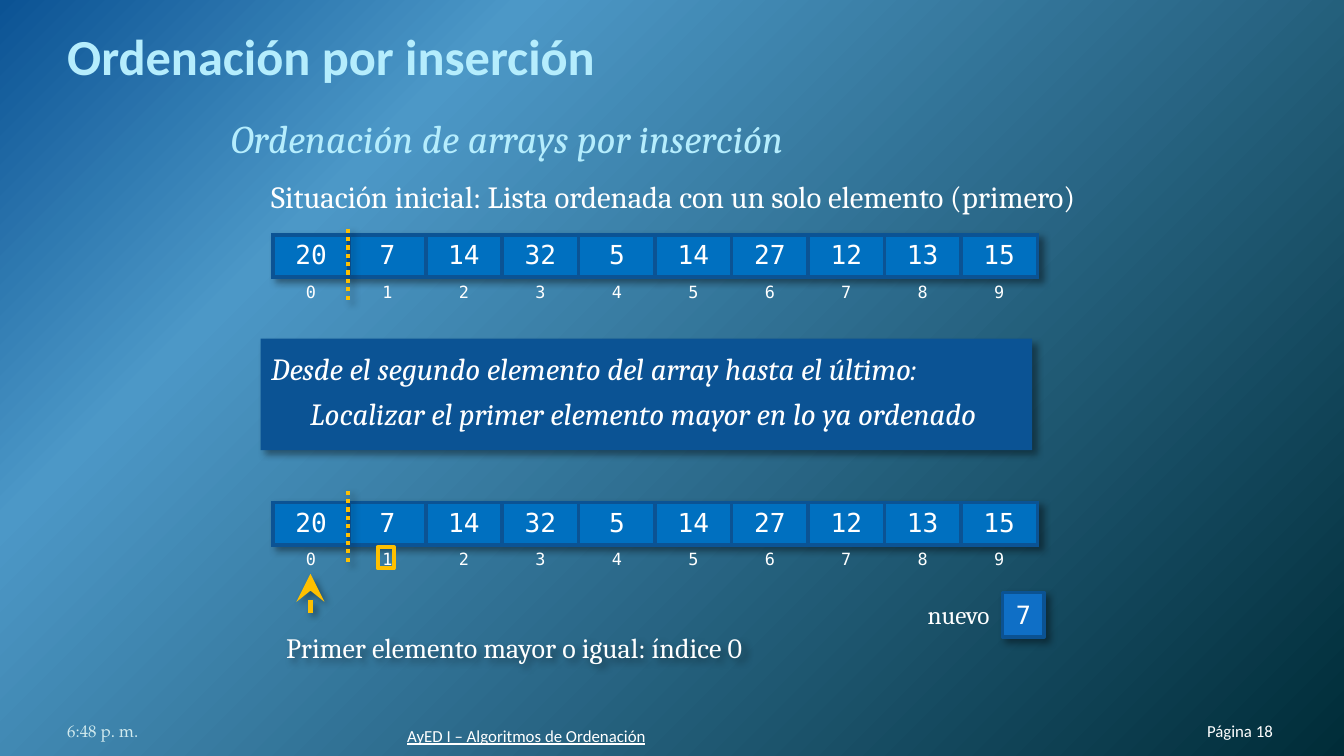
"""Build the slide on insertion sort of arrays."""
from dataclasses import dataclass

from pptx import Presentation
from pptx.dml.color import RGBColor
from pptx.enum.dml import MSO_LINE
from pptx.enum.shapes import MSO_CONNECTOR as Connector, MSO_SHAPE as Shape
from pptx.enum.text import MSO_ANCHOR as Anchor, PP_ALIGN as Align
from pptx.oxml import parse_xml
from pptx.oxml.ns import nsdecls
from pptx.util import Inches, Pt

NAVY, CELL, GOLD, ICE, WHITE = "0B5394", "0070C0", "FFC000", "B5EDFD", "FFFFFF"
SERIF, SANS, MONO, FOOTER_SERIF = "Cambria", "Calibri", "DejaVu Sans Mono", "TeX Gyre Pagella"
NO_TABLE_STYLE = "{2D5ABB26-0587-4C30-8999-92F81FD0307C}"
VALUES = (20, 7, 14, 32, 5, 14, 27, 12, 13, 15)
ARRAY_LEFT, ARRAY_WIDTH, ROWS = 2.03, 5.69, (0.3, 0.24)
SORTED_EDGE = 2.59


@dataclass
class Line:
    text: str
    size: float
    color: str = WHITE
    font: str = SERIF
    bold: bool = False
    italic: bool = False
    underline: bool = False
    align: Align = Align.LEFT
    indent: float = 0
    before: float = 0
    after: float = 0


@dataclass
class Label:
    box: tuple
    lines: list
    anchor: Anchor = Anchor.TOP
    insets: tuple = (0.1, 0.05, 0.1, 0.05)


def rgb(color: str) -> RGBColor:
    return RGBColor.from_string(color)


def drawing(xml: str):
    tag = xml[1:].split(">")[0].split()[0]
    return parse_xml(xml.replace(f"<{tag}", f"<{tag} {nsdecls('a', 'p')}", 1))


def shadow() -> object:
    return drawing(
        f'<a:effectLst><a:outerShdw blurRad="{Pt(4)}" dist="{Pt(3)}" dir="2700000" algn="tl" '
        'rotWithShape="0"><a:srgbClr val="000000"><a:alpha val="40000"/></a:srgbClr>'
        "</a:outerShdw></a:effectLst>")


def write(frame, lines: list, anchor: Anchor, insets: tuple) -> None:
    frame.word_wrap = True
    frame.vertical_anchor = anchor
    frame.margin_left, frame.margin_top, frame.margin_right, frame.margin_bottom = map(Inches, insets)
    for number, line in enumerate(lines):
        paragraph = frame.add_paragraph() if number else frame.paragraphs[0]
        add_line_text(paragraph, line)


def add_line_text(paragraph, line: Line) -> None:
    paragraph.alignment = line.align
    paragraph.space_before, paragraph.space_after = Pt(line.before), Pt(line.after)
    if line.indent:
        paragraph.level = 1
        paragraph._p.get_or_add_pPr().set("marL", str(Inches(line.indent)))
    run = paragraph.add_run()
    run.text = line.text
    font = run.font
    font.name, font.size = line.font, Pt(line.size)
    font.bold, font.italic, font.underline = line.bold, line.italic, line.underline
    font.color.rgb = rgb(line.color)


def add_label(slide, label: Label):
    textbox = slide.shapes.add_textbox(*map(Inches, label.box))
    write(textbox.text_frame, label.lines, label.anchor, label.insets)
    return textbox


def add_box(slide, box: tuple, fill: str = "", line: str = "", width: float = 0, shadowed: bool = True):
    shape = slide.shapes.add_shape(Shape.RECTANGLE, *map(Inches, box))
    if fill:
        shape.fill.solid()
        shape.fill.fore_color.rgb = rgb(fill)
    else:
        shape.fill.background()
    if line:
        shape.line.color.rgb = rgb(line)
        shape.line.width = Pt(width)
    else:
        shape.line.fill.background()
    if shadowed:
        shape._element.spPr.append(shadow())
    else:
        shape.shadow.inherit = False
    return shape


def add_line(slide, x: float, bottom: float, top: float, width: float):
    line = slide.shapes.add_connector(
        Connector.STRAIGHT, Inches(x), Inches(bottom), Inches(x), Inches(top))
    line.line.color.rgb = rgb(GOLD)
    line.line.width = Pt(width)
    line._element.spPr.append(shadow())
    return line


def add_border(cell, side: str) -> None:
    cell._tc.get_or_add_tcPr().append(drawing(
        f'<a:{side} w="{Pt(2.25)}"><a:solidFill><a:srgbClr val="{NAVY}"/></a:solidFill></a:{side}>'))


def add_array(slide, top: float) -> None:
    table = slide.shapes.add_table(
        2, len(VALUES), Inches(ARRAY_LEFT), Inches(top),
        Inches(ARRAY_WIDTH), Inches(sum(ROWS))).table
    table.first_row = table.horz_banding = False
    properties = table._tbl.tblPr
    properties[-1].text = NO_TABLE_STYLE
    properties.insert(0, shadow())
    for row, height in zip(table.rows, ROWS):
        row.height = Inches(height)
    for index, value in enumerate(VALUES):
        table.columns[index].width = Inches(ARRAY_WIDTH / len(VALUES))
        element, position = table.cell(0, index), table.cell(1, index)
        for cell, number, size in ((element, value, 14), (position, index, 9)):
            cell.margin_left = cell.margin_right = Inches(0.07)
            cell.margin_top = cell.margin_bottom = Inches(0.04)
            add_line_text(cell.text_frame.paragraphs[0],
                          Line(str(number), size, font=MONO, align=Align.CENTER))
        for side in ("lnL", "lnR", "lnT", "lnB"):
            add_border(element, side)
        add_border(position, "lnT")
        element.fill.solid()
        element.fill.fore_color.rgb = rgb(CELL)
        position.fill.background()


def add_background(slide) -> None:
    stops = "".join(
        f'<a:gs pos="{percent * 1000}"><a:srgbClr val="{color}"/></a:gs>'
        for percent, color in ((0, NAVY), (25, "4C98C7"), (100, "002C38")))
    slide._element.cSld.insert(0, drawing(
        f'<p:bg><p:bgPr><a:gradFill rotWithShape="1"><a:gsLst>{stops}</a:gsLst>'
        '<a:path path="circle"><a:fillToRect r="100000" b="100000"/></a:path>'
        "</a:gradFill><a:effectLst/></p:bgPr></p:bg>"))


def add_title(slide) -> None:
    title = slide.shapes.title
    title.left, title.top, title.width, title.height = map(Inches, (0.5, 0.23, 9, 0.41))
    write(title.text_frame, [Line("Ordenación por inserción", 27, ICE, SANS, bold=True)],
          Anchor.BOTTOM, (0, 0.05, 0, 0))
    run = title.text_frame.paragraphs[0].runs[0]
    run._r.get_or_add_rPr().insert(0, drawing(
        f'<a:ln w="{Pt(0.75)}"><a:solidFill><a:srgbClr val="{CELL}"/></a:solidFill></a:ln>'))


def main() -> None:
    deck = Presentation()
    deck.slide_width, deck.slide_height = Inches(10), Inches(10 * 9 / 16)
    slide = deck.slides.add_slide(deck.slide_layouts[5])
    add_background(slide)
    add_title(slide)
    add_box(slide, (1.94, 2.52, 5.74, 0.83), NAVY)
    add_label(slide, Label((1.62, 0.8, 6.86, 4.19), [
        Line("Ordenación de arrays por inserción", 21, ICE, italic=True, after=9),
        Line("Situación inicial: Lista ordenada con un solo elemento (primero)", 16.5,
             indent=0.3, after=4.5),
        Line("Desde el segundo elemento del array hasta el último:", 16.5, italic=True,
             indent=0.3, before=67.5, after=4.5),
        Line("Localizar el primer elemento mayor en lo ya ordenado", 16.5, italic=True,
             indent=0.59, after=4.5)]))

    for array_top, edge_top in ((1.75, 1.69), (3.74, 3.64)):
        add_array(slide, array_top)
        sorted_edge = add_line(slide, SORTED_EDGE, edge_top + 0.54, edge_top, 2.25)
        sorted_edge.line.dash_style = MSO_LINE.ROUND_DOT

    add_box(slide, (2.81, 4.07, 0.12, 0.16), line=GOLD, width=2.25, shadowed=False)
    pointer = add_line(slide, 2.31, 4.56, 4.27, 3)
    pointer.line._get_or_add_ln().append(drawing('<a:tailEnd type="stealth" w="lg" len="lg"/>'))
    finding = add_label(slide, Label((2.03, 4.64, 3.79, 0.35), [
        Line("Primer elemento mayor o igual: índice 0", 15)]))
    finding._element.spPr.append(shadow())

    new_value = add_box(slide, (7.46, 4.41, 0.31, 0.33), "0F6FC6", "0B5292", 2)
    write(new_value.text_frame, [Line("7", 13.5, font=MONO, align=Align.CENTER)],
          Anchor.MIDDLE, (0, 0, 0, 0))
    add_label(slide, Label((6.77, 4.41, 0.69, 0.33), [Line("nuevo", 13.5, align=Align.RIGHT)],
                           insets=(0, 0.05, 0.1, 0.05)))

    for box, line in (
        ((8.49, 5.21, 0.98, 0.3), Line("Página 18", 9, font=SANS, align=Align.RIGHT)),
        ((0.5, 5.21, 2.33, 0.3), Line("6:48 p. m.", 9, "D1EAEE", FOOTER_SERIF)),
        ((3.03, 5.25, 3.78, 0.3),
         Line("AyED I – Algoritmos de Ordenación", 9, font=SANS, underline=True)),
    ):
        add_label(slide, Label(box, [line], Anchor.BOTTOM, (0, 0, 0, 0)))
    deck.save("out.pptx")


if __name__ == "__main__":
    main()
